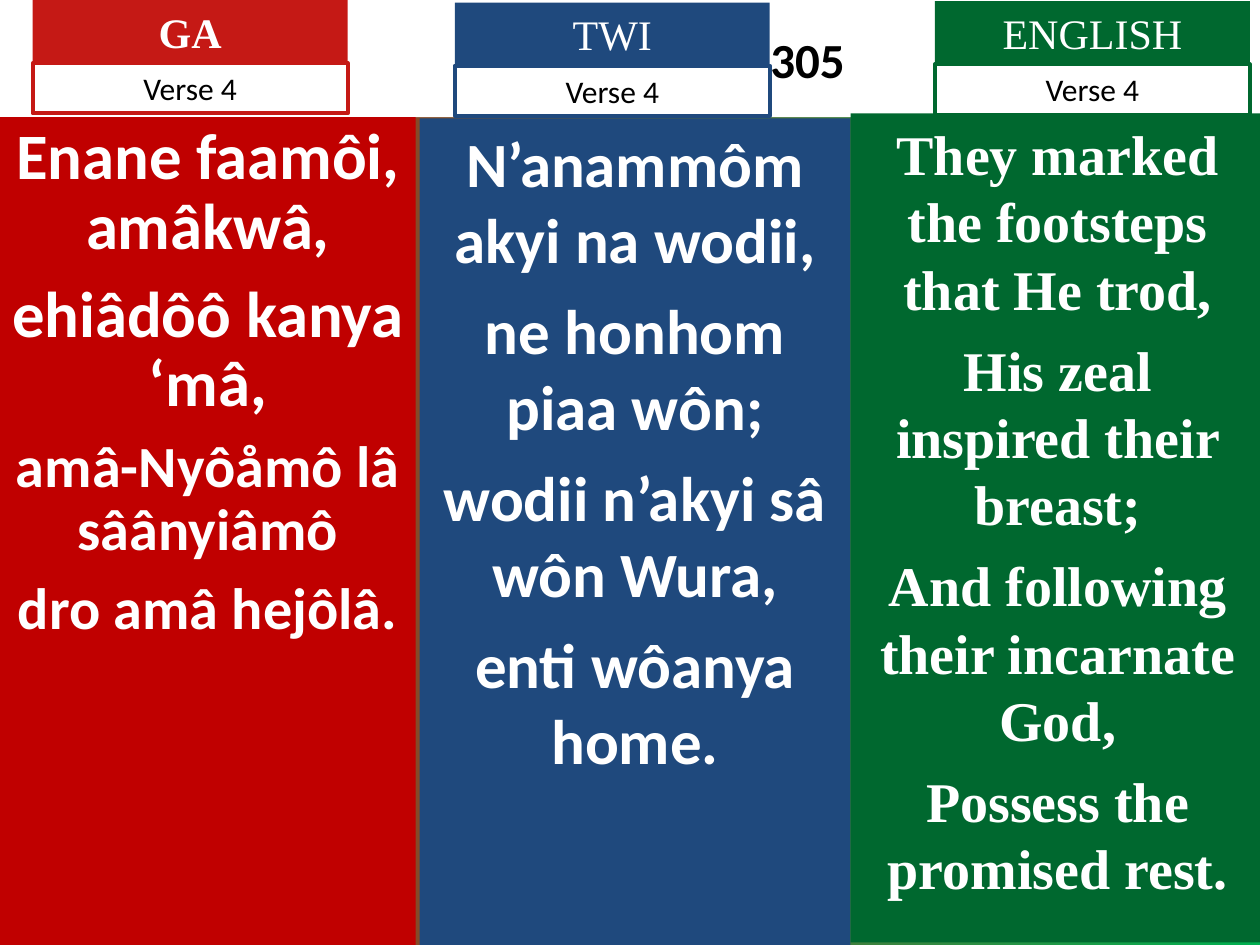
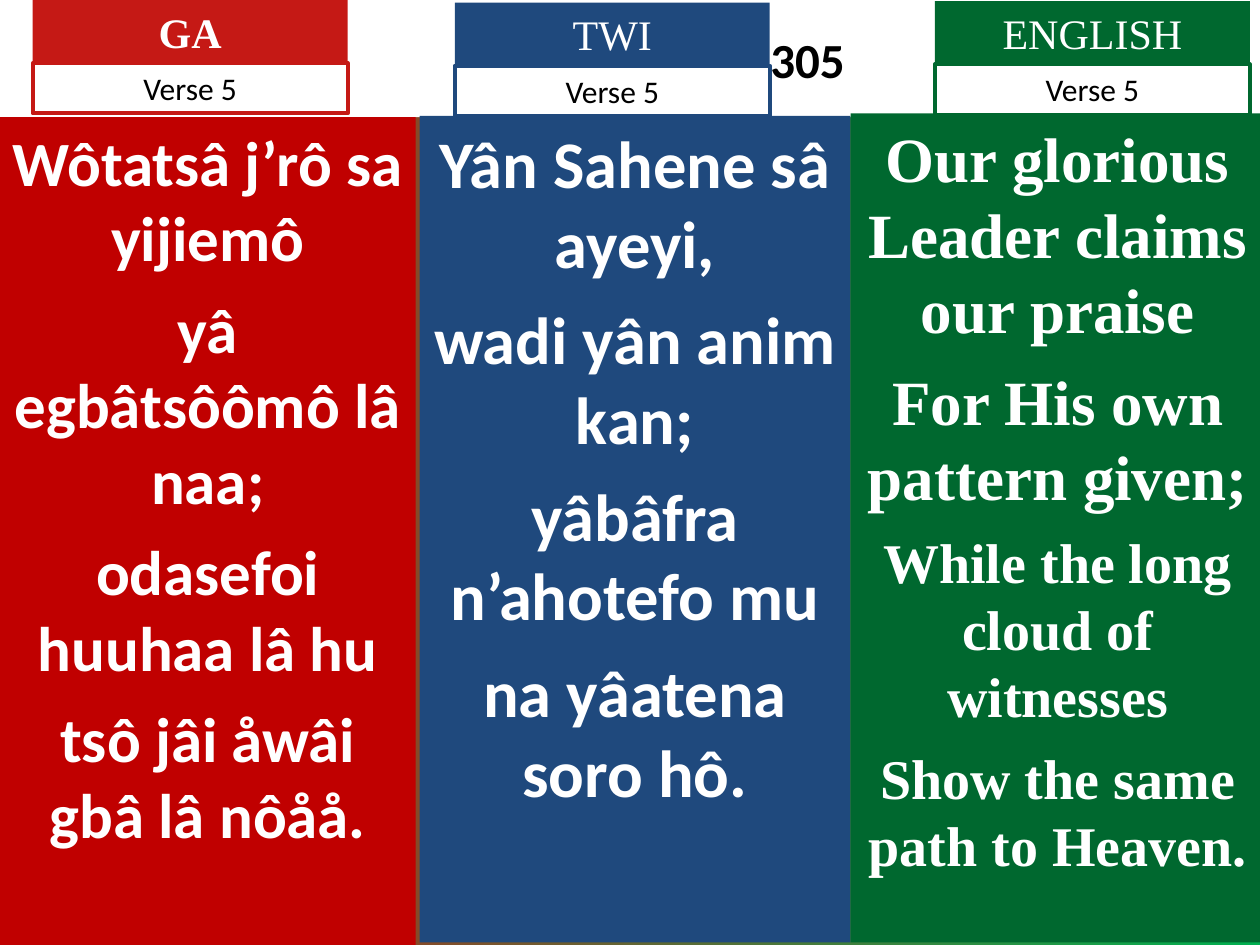
from dataclasses import dataclass

from pptx import Presentation
from pptx import util as u
from pptx.dml.color import RGBColor
from pptx.enum import shapes, text

WIDTH, HEIGHT = u.Inches(10), u.Inches(7.5)
WHITE, BLACK = "FFFFFF", "000000"
SANS, SERIF = "Calibri", "Times New Roman"

# All places are percentages of the slide's width and height
BAND_HEIGHT = 12.4
HEADING_WIDTH, HEADING_HEIGHT, VERSE_HEIGHT = 25, 6.67, 5.33
HYMN_NUMBER = "305"


@dataclass
class Language:
    name: str
    colour: str
    heading_left: float
    heading_top: float
    column_colour: str
    column_left: float
    column_width: float
    column_height: float
    font: str
    bold_heading: bool = False


GA = Language("GA", "C51915", 2.6, 0, "C00000", 0, 33, 87.6, SANS, True)
TWI = Language("TWI", "1F497D", 36.1, 0.27, "1F497D", 33.3, 34.2, 87.47, SANS)
ENGLISH = Language("ENGLISH", "00682F", 74.2, 0.13, "00682F", 67.5, 32.9, 87.73, SERIF)


@dataclass
class Stanza:
    language: Language
    top: float
    lines: list  # (size in points, words)
    spacing: float = 1.0


VERSES = {
    "Verse 4": [
        Stanza(GA, 12.4, [
            (37, "Enane faamôi, amâkwâ,"),
            (37, "ehiâdôô kanya ‘mâ,"),
            (33.3, "amâ-Nyôåmô lâ sâânyiâmô"),
            (33.3, "dro amâ hejôlâ."),
        ], spacing=0.9),
        Stanza(TWI, 12.53, [
            (36, "N’anammôm akyi na wodii,"),
            (36, "ne honhom piaa wôn;"),
            (36, "wodii n’akyi sâ wôn Wura,"),
            (36, "enti wôanya home."),
        ]),
        Stanza(ENGLISH, 12, [
            (32, "They marked the footsteps that He trod,"),
            (32, "His zeal inspired their breast;"),
            (32, "And following their incarnate God,"),
            (32, "Possess the promised rest."),
        ]),
    ],
    "Verse 5": [
        Stanza(GA, 12.4, [
            (36, "Wôtatsâ j’rô sa yijiemô"),
            (36, "yâ egbâtsôômô lâ naa;"),
            (36, "odasefoi huuhaa lâ hu"),
            (36, "tsô jâi åwâi gbâ lâ nôåå."),
        ]),
        Stanza(TWI, 12.27, [
            (38, "Yân Sahene sâ ayeyi,"),
            (38, "wadi yân anim kan;"),
            (38, "yâbâfra n’ahotefo mu"),
            (38, "na yâatena soro hô."),
        ]),
        Stanza(ENGLISH, 12, [
            (36, "Our glorious Leader claims our praise"),
            (36, "For His own pattern given;"),
            (32, "While the long cloud of witnesses"),
            (32, "Show the same path to Heaven."),
        ]),
    ],
}


def rgb(colour):
    return RGBColor.from_string(colour)


def add_box(page, left, top, width, height, fill=None, line=None):
    box = page.shapes.add_shape(
        shapes.MSO_SHAPE.RECTANGLE,
        int(WIDTH * left / 100), int(HEIGHT * top / 100),
        int(WIDTH * width / 100), int(HEIGHT * height / 100))
    box.shadow.inherit = False
    if fill:
        box.fill.solid()
        box.fill.fore_color.rgb = rgb(fill)
    else:
        box.fill.background()
    if line:
        box.line.color.rgb = rgb(line)
        box.line.width = u.Pt(2.25)
    else:
        box.line.fill.background()
    frame = box.text_frame
    frame.word_wrap = True
    frame.margin_left = frame.margin_right = u.Inches(0.08)
    frame.margin_top = frame.margin_bottom = u.Inches(0.05)
    frame.vertical_anchor = text.MSO_ANCHOR.TOP
    return box


def style(para, size, font, colour, bold=False):
    para.alignment = text.PP_ALIGN.CENTER
    para.font.size = u.Pt(size)
    para.font.name = font
    para.font.color.rgb = rgb(colour)
    para.font.bold = bold


def write(box, words, size, font, colour, bold=False):
    box.text_frame.text = words
    style(box.text_frame.paragraphs[0], size, font, colour, bold)


def add_title_band(page):
    band = add_box(page, 0, 0, 100, BAND_HEIGHT, WHITE)
    # The wide left margin centres the number between the last two headings
    band.text_frame.margin_left = int(WIDTH * 0.29)
    band.text_frame.vertical_anchor = text.MSO_ANCHOR.MIDDLE
    write(band, HYMN_NUMBER, 28, SANS, BLACK, True)


def add_column(page, stanza):
    language = stanza.language
    column = add_box(page, language.column_left, stanza.top, language.column_width,
                     language.column_height, language.column_colour)
    column.text_frame.text = "\n".join(words for _, words in stanza.lines)
    for index, para in enumerate(column.text_frame.paragraphs):
        size = stanza.lines[index][0]
        style(para, size, language.font, WHITE, True)
        para.line_spacing = stanza.spacing
        para.space_before = u.Pt(size / 4 / stanza.spacing if index else 0)


def add_heading(page, language, verse):
    left, top = language.heading_left, language.heading_top
    heading = add_box(page, left, top, HEADING_WIDTH, HEADING_HEIGHT, language.colour)
    write(heading, language.name, 24, SERIF, WHITE, language.bold_heading)
    label = add_box(page, left, top + HEADING_HEIGHT, HEADING_WIDTH, VERSE_HEIGHT,
                    line=language.colour)
    write(label, verse, 18, SANS, BLACK)


def set_background(master):
    fill = master.background.fill
    fill.gradient()
    fill.gradient_angle = 0
    for stop, position, colour in zip(fill.gradient_stops, (0, 1), ("C51915", "00B050")):
        stop.position = position
        stop.color.rgb = rgb(colour)


def main():
    deck = Presentation()
    deck.slide_width, deck.slide_height = WIDTH, HEIGHT
    set_background(deck.slide_master)
    for verse, stanzas in VERSES.items():
        page = deck.slides.add_slide(deck.slide_layouts[6])
        add_title_band(page)
        for stanza in stanzas:
            add_column(page, stanza)
        for stanza in stanzas:
            add_heading(page, stanza.language, verse)
    deck.save("out.pptx")


if __name__ == "__main__":
    main()
